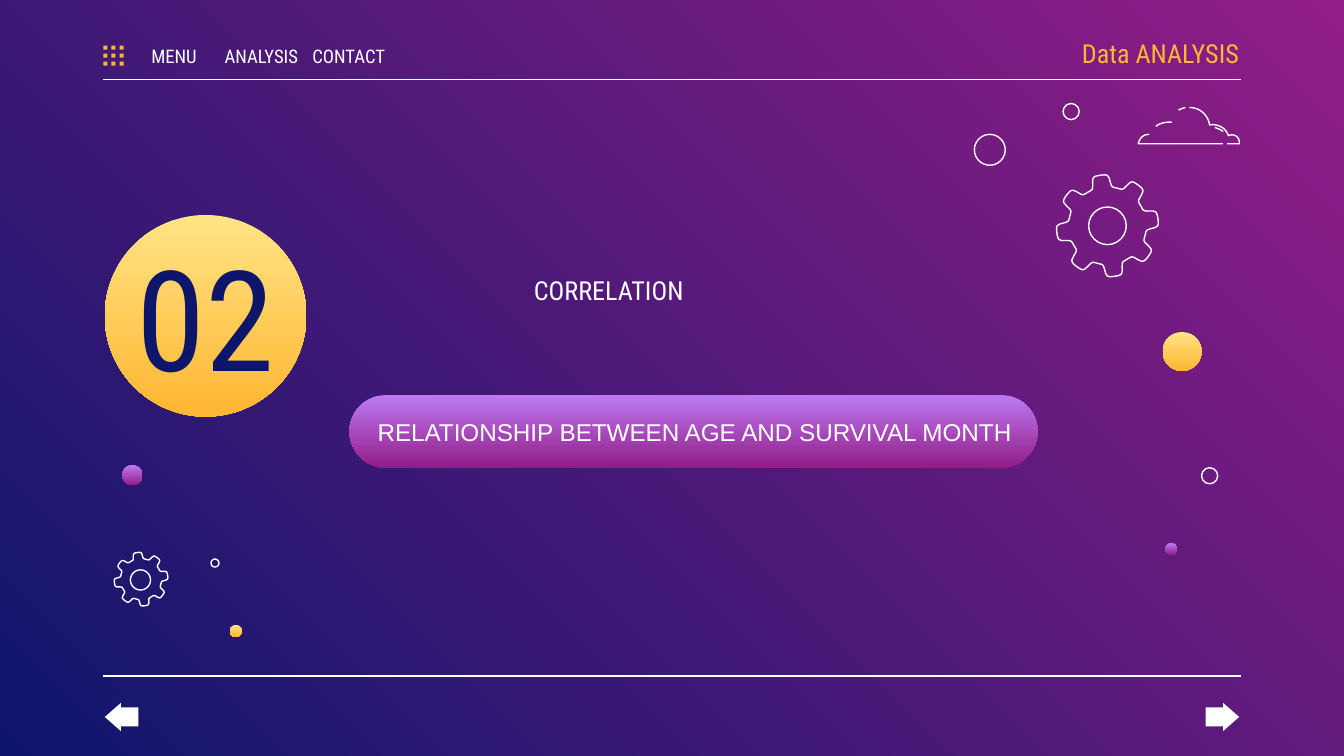
"""Build the section slide for the correlation chapter of a data analysis deck."""
import math

import lxml.etree
import pptx
import pptx.dml.color
import pptx.enum.shapes
import pptx.enum.text
import pptx.oxml.ns
import pptx.util

Inches = pptx.util.Inches
RGBColor = pptx.dml.color.RGBColor
SHAPE = pptx.enum.shapes.MSO_SHAPE
ALIGN = pptx.enum.text.PP_ALIGN
ANCHOR = pptx.enum.text.MSO_ANCHOR

WHITE = RGBColor(0xFF, 0xFF, 0xFF)
NAVY = RGBColor(0x0E, 0x16, 0x6C)
MAGENTA = RGBColor(0x92, 0x1D, 0x87)
VIOLET = RGBColor(0xBE, 0x7A, 0xF3)
CREAM = RGBColor(0xFF, 0xE4, 0x85)
AMBER = RGBColor(0xFF, 0xB6, 0x32)
GOLD_FADE = (CREAM, AMBER)
PURPLE_FADE = (VIOLET, MAGENTA)


def paint(fill, colors, angle=270):
    """Fill with nothing, one colour or a two-colour gradient."""
    if len(colors) == 2:
        fill.gradient()
        fill.gradient_angle = angle
        for stop, color in zip(fill.gradient_stops, colors):
            stop.color.rgb = color
    elif colors:
        fill.solid()
        fill.fore_color.rgb = colors[0]
    else:
        fill.background()


def write_text(box, text, size, color=WHITE, font="Roboto Condensed",
               align=ALIGN.CENTER, anchor=ANCHOR.MIDDLE, insets=(0.1, 0.1, 0.1, 0.1)):
    """Put one formatted line of text in a box."""
    frame = box.text_frame
    frame.word_wrap = True
    frame.auto_size = pptx.enum.text.MSO_AUTO_SIZE.NONE
    frame.vertical_anchor = anchor
    (frame.margin_left, frame.margin_top,
     frame.margin_right, frame.margin_bottom) = map(Inches, insets)
    para = frame.paragraphs[0]
    para.alignment = align
    para.space_before = pptx.util.Pt(0)
    span = para.add_run()
    span.text = text
    span.font.size = pptx.util.Pt(size)
    span.font.name = font
    span.font.color.rgb = color


deck = pptx.Presentation()
deck.slide_width, deck.slide_height = Inches(10), Inches(10 * 9 / 16)
page = deck.slides.add_slide(deck.slide_layouts[0])
shapes = page.shapes
paint(page.background.fill, (MAGENTA, NAVY), angle=225)

for y in (0.59, 5.03):
    rule = shapes.add_connector(pptx.enum.shapes.MSO_CONNECTOR.STRAIGHT,
                                Inches(0.77), Inches(y), Inches(9.23), Inches(y))
    rule.line.color.rgb = WHITE
    rule.line.width = pptx.util.Pt(0.75)
    lxml.etree.SubElement(rule.element.spPr, pptx.oxml.ns.qn("a:effectLst"))

solids = [
    (SHAPE.ROUNDED_RECTANGLE, 2.6, 2.94, 5.12, 0.54, PURPLE_FADE, [0.5]),
    (SHAPE.LEFT_ARROW, 0.78, 5.23, 0.25, 0.21, (WHITE,), [0.67, 0.57]),
    (SHAPE.RIGHT_ARROW, 8.97, 5.23, 0.25, 0.21, (WHITE,), [0.67, 0.57]),
]
for left, top, size, colors in [
    (0.78, 1.6, 1.5, GOLD_FADE),
    (8.65, 2.47, 0.29, GOLD_FADE),
    (1.71, 4.65, 0.09, GOLD_FADE),
    (0.91, 3.46, 0.15, PURPLE_FADE),
    (8.67, 4.04, 0.09, PURPLE_FADE),
    (7.91, 0.77, 0.12, ()),
    (8.94, 3.48, 0.12, ()),
    (7.25, 1.0, 0.23, ()),
    (1.57, 4.16, 0.06, ()),
    (8.1, 1.54, 0.28, ()),
    (0.97, 4.24, 0.15, ()),
]:
    solids.append((SHAPE.OVAL, left, top, size, size, colors, []))
for column in range(3):
    for row in range(3):
        solids.append((SHAPE.RECTANGLE, 0.77 + 0.06 * column, 0.34 + 0.06 * row,
                       0.03, 0.03, (AMBER,), []))

outlines = []
for center_x, center_y, radius in [(8.24, 1.68, 0.38), (1.05, 4.31, 0.2)]:
    gear = []
    for degree in range(0, 360, 2):
        tooth = math.tanh(3 * math.cos(math.radians(8 * (degree + 8))))
        reach = radius * (0.88 + 0.12 * tooth)
        gear.append((center_x + reach * math.cos(math.radians(degree)),
                     center_y + reach * math.sin(math.radians(degree))))
    outlines.append((gear, True))

cloud_curves = [
    [(8.85, 0.8), (8.93, 0.8), (8.99, 0.86), (9, 0.93),
     (9.06, 0.92), (9.12, 0.95), (9.14, 1.01),
     (9.18, 0.99), (9.23, 1.02), (9.22, 1.07),
     (9.22, 1.07), (9.13, 1.07), (9.13, 1.07)],
    [(8.82, 0.8), (8.82, 0.8), (8.78, 0.81), (8.77, 0.82)],
    [(9.1, 1.07), (9.1, 1.07), (8.47, 1.07), (8.47, 1.07),
     (8.47, 1.07), (8.48, 1), (8.55, 1)],
    [(9.04, 0.95), (9.04, 0.95), (9.08, 0.96), (9.1, 0.98)],
    [(8.72, 0.91), (8.72, 0.91), (8.65, 0.9), (8.6, 0.94)],
]
for curve in cloud_curves:
    stroke = [curve[0]]
    for first in range(0, len(curve) - 1, 3):
        for step in range(1, 13):
            t = step / 12
            weights = ((1 - t) ** 3, 3 * t * (1 - t) ** 2, 3 * t * t * (1 - t), t ** 3)
            stroke.append(tuple(
                sum(weight * point[axis]
                    for weight, point in zip(weights, curve[first:first + 4]))
                for axis in (0, 1)))
    outlines.append((stroke, False))

drawn = []
for kind, left, top, width, height, colors, adjustments in solids:
    shape = shapes.add_shape(kind, Inches(left), Inches(top), Inches(width), Inches(height))
    for index, value in enumerate(adjustments):
        shape.adjustments[index] = value
    drawn.append((shape, colors))
for points, closed in outlines:
    points = [(Inches(x), Inches(y)) for x, y in points]
    builder = shapes.build_freeform(*points[0], scale=1.0)
    builder.add_line_segments(points[1:], close=closed)
    drawn.append((builder.convert_to_shape(), ()))
for shape, colors in drawn:
    shape.shadow.inherit = False
    paint(shape.fill, colors)
    if colors:
        shape.line.fill.background()
    else:
        shape.line.color.rgb = WHITE
        shape.line.width = pptx.util.Pt(0.75)

title, subtitle = shapes.title, page.placeholders[1]
for box, left, top, width, height in [(subtitle, 2.66, 3.05, 5.01, 0.33),
                                      (title, 0.78, 1.93, 1.5, 0.83)]:
    box.left, box.top = Inches(left), Inches(top)
    box.width, box.height = Inches(width), Inches(height)
    shapes.element.append(box.element)
write_text(subtitle, "RELATIONSHIP BETWEEN AGE AND SURVIVAL MONTH", 13, font="Arial")
write_text(title, "02", 75, color=NAVY)

heading = shapes.add_textbox(Inches(2.66), Inches(1.99), Inches(3.74), Inches(0.71))
write_text(heading, "CORRELATION", 14, anchor=ANCHOR.TOP, insets=(0.1, 0.05, 0.1, 0.05))
brand = shapes.add_textbox(Inches(7.72), Inches(0.23), Inches(1.5), Inches(0.33))
write_text(brand, "Data ANALYSIS", 14, color=AMBER, align=ALIGN.RIGHT, insets=(0.1, 0.1, 0, 0.1))
for index, label in enumerate(["MENU", "ANALYSIS", "CONTACT"]):
    entry = shapes.add_textbox(Inches(1.01 + 0.65 * index), Inches(0.3), Inches(0.57), Inches(0.23))
    write_text(entry, label, 10, insets=(0, 0.1, 0, 0.1))

deck.save("out.pptx")
